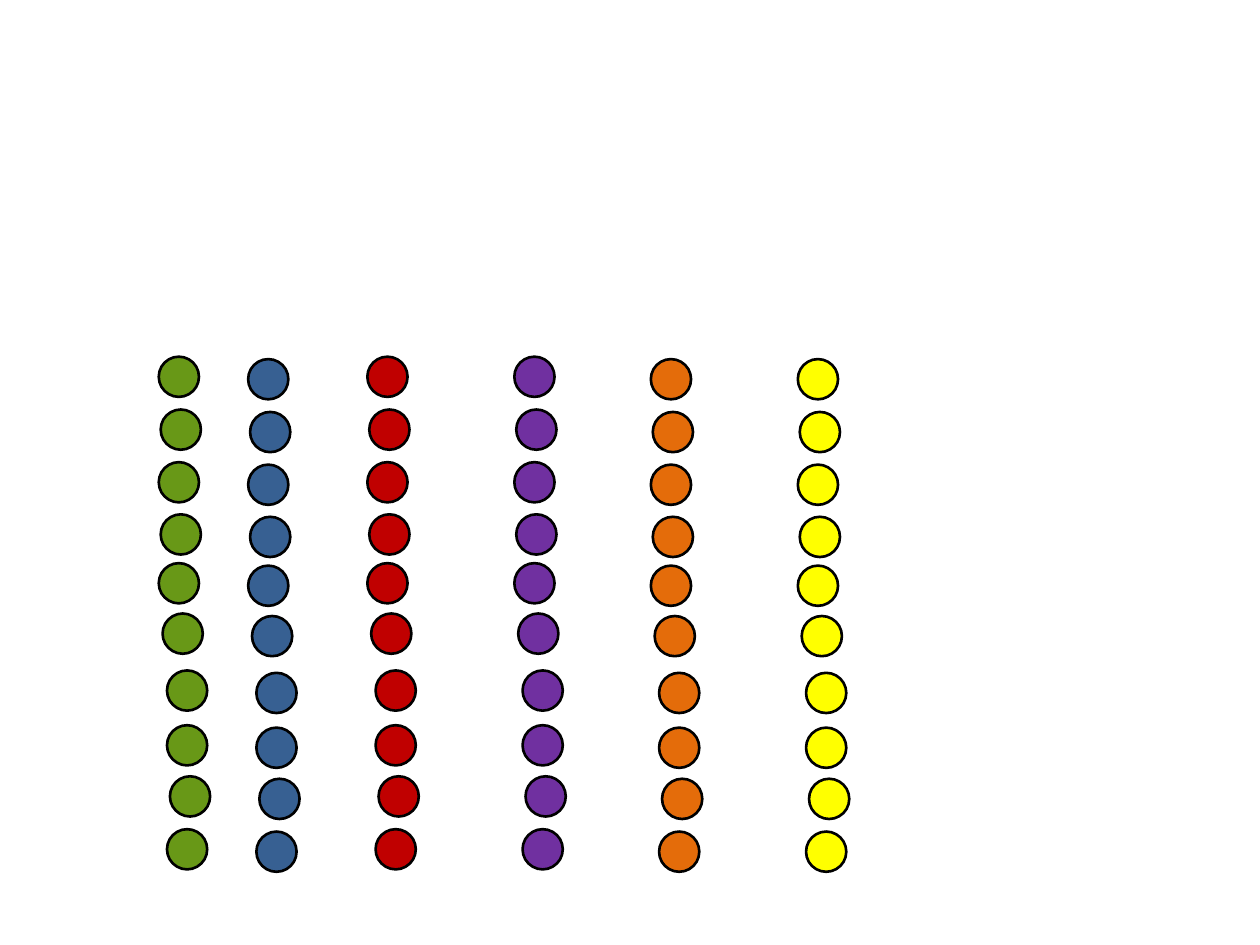
"""Build a slide with six coloured columns of ten dots each."""
from pptx import Presentation
from pptx.dml.color import RGBColor
from pptx.enum.shapes import MSO_SHAPE
from pptx.util import Pt

ELLIPSE = MSO_SHAPE.OVAL
BLACK = RGBColor(0x00, 0x00, 0x00)
GREEN = RGBColor(0x68, 0x98, 0x17)
BLUE = RGBColor(0x37, 0x60, 0x92)
RED = RGBColor(0xC0, 0x00, 0x00)
PURPLE = RGBColor(0x70, 0x30, 0xA0)
ORANGE = RGBColor(0xE4, 0x6C, 0x0A)
YELLOW = RGBColor(0xFF, 0xFF, 0x00)

UPPER_TOP, LOWER_TOP = 203.8, 205.2
COLUMNS = [
    (90.7, UPPER_TOP, GREEN),
    (141.8, LOWER_TOP, BLUE),
    (209.9, UPPER_TOP, RED),
    (293.9, UPPER_TOP, PURPLE),
    (371.9, LOWER_TOP, ORANGE),
    (455.9, LOWER_TOP, YELLOW),
]
DOT_OFFSETS = [
    (0, 118), (0, 60.3), (2.2, 146.8), (4.7, 179.3), (4.7, 210.6),
    (6.4, 239.8), (1.1, 30.2), (0, 0), (4.7, 270), (1.1, 90.1),
]


class DotSlide:
    def __init__(self, slide, diameter=23, line_width=1.5, line_color=BLACK):
        self.slide = slide
        self.diameter = Pt(diameter)
        self.line_width = Pt(line_width)
        self.line_color = line_color

    def dot(self, left, top, color):
        shape = self.slide.shapes.add_shape(
            ELLIPSE, Pt(left), Pt(top), self.diameter, self.diameter)
        shape.shadow.inherit = False
        shape.fill.solid()
        shape.fill.fore_color.rgb = color
        shape.line.color.rgb = self.line_color
        shape.line.width = self.line_width

    def column(self, left, top, color):
        for across, down in DOT_OFFSETS:
            self.dot(left + across, top + down, color)


def main():
    presentation = Presentation()
    presentation.slide_width = Pt(720)
    presentation.slide_height = Pt(540)
    slide = presentation.slides.add_slide(presentation.slide_layouts[6])
    dot_slide = DotSlide(slide)
    for left, top, color in COLUMNS:
        dot_slide.column(left, top, color)
    presentation.save("out.pptx")


if __name__ == "__main__":
    main()
